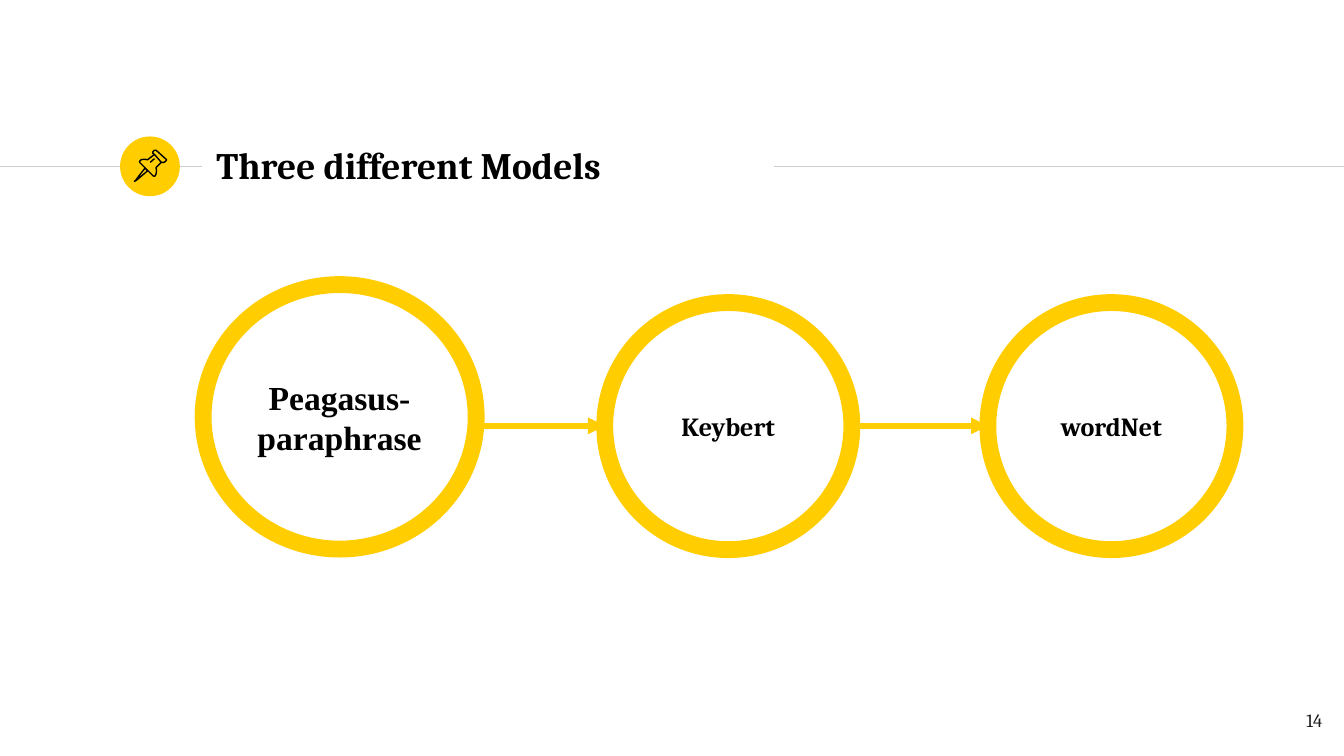
from itertools import pairwise

from pptx import Presentation
from pptx.dml.color import RGBColor
from pptx.enum.shapes import MSO_CONNECTOR, MSO_SHAPE
from pptx.enum.text import MSO_ANCHOR, PP_ALIGN
from pptx.oxml.ns import qn
from pptx.util import Cm, Pt
from lxml.etree import SubElement

YELLOW, BLACK, GREY, DARK = "FFCD00", "000000", "CCCCCC", "1D1D1B"
TITLE = "Three different Models"
PAGE_NUMBER = "14"
RULE_Y = 3.15
RULES = [(0, 3.81), (14.63, 25.4)]
ARROW_Y = 8.05
MODELS = [
    (["Peagasus-", "paraphrase"], "Times New Roman", 18, (3.84, 5.38, 5.16, 5)),
    (["Keybert"], "Cambria", 14, (11.43, 5.72, 4.67, 4.67)),
    (["wordNet"], "Cambria", 14, (18.67, 5.72, 4.67, 4.67)),
]
PIN_UNIT = Cm(0.01)
PIN_PARTS = [
    ([(274, 318), (257, 340), (254, 343), (259, 340), (279, 323)], True),
    ([(292, 292), (305, 307), (310, 307), (313, 305), (315, 302),
      (295, 284), (292, 284), (289, 287), (289, 290)], True),
    ([(292, 292), (279, 302), (272, 301), (267, 302), (264, 305), (264, 307),
      (290, 333), (293, 333), (295, 329), (296, 323), (295, 317), (305, 307)], False),
    ([(284, 307), (292, 300)], False),
]


def color(value):
    return RGBColor.from_string(value)


def set_line(shape, value, width):
    shape.line.color.rgb = color(value)
    shape.line.width = Pt(width)


def add_line(page, start, end, y, value, width, arrow=False):
    line = page.shapes.add_connector(
        MSO_CONNECTOR.STRAIGHT, Cm(start), Cm(y), Cm(end), Cm(y))
    set_line(line, value, width)
    properties = line._element.spPr
    if arrow:
        SubElement(properties.find(qn("a:ln")), qn("a:tailEnd"), type="triangle")
    SubElement(properties, qn("a:effectLst"))


def add_circle(page, place):
    circle = page.shapes.add_shape(MSO_SHAPE.OVAL, *map(Cm, place))
    circle.shadow.inherit = False
    return circle


def write(shape, lines, font, size, value, bold, align, anchor):
    frame = shape.text_frame
    frame.word_wrap = True
    frame.vertical_anchor = anchor
    frame.margin_left = frame.margin_right = Cm(0.25)
    frame.margin_top = frame.margin_bottom = Cm(0.25)
    frame.text = "\n".join(lines)
    for paragraph in frame.paragraphs:
        paragraph.alignment = align
        paragraph.font.name = font
        paragraph.font.size = Pt(size)
        paragraph.font.bold = bold
        paragraph.font.color.rgb = color(value)


def add_pin(page):
    for points, closed in PIN_PARTS:
        builder = page.shapes.build_freeform(*points[0], scale=PIN_UNIT)
        builder.add_line_segments(points[1:], close=closed)
        part = builder.convert_to_shape()
        part.shadow.inherit = False
        part.fill.background()
        set_line(part, BLACK, 0.75)


def main():
    deck = Presentation()
    deck.slide_width, deck.slide_height = Cm(25.4), Cm(14.29)
    page = deck.slides.add_slide(deck.slide_layouts[6])

    for start, end in RULES:
        add_line(page, start, end, RULE_Y, GREY, 0.75)
    badge = add_circle(page, (2.27, 2.58, 1.13, 1.13))
    badge.fill.solid()
    badge.fill.fore_color.rgb = color(YELLOW)
    badge.line.fill.background()
    add_pin(page)

    title = page.shapes.add_textbox(Cm(3.84), Cm(2.5), Cm(10.78), Cm(1.22))
    write(title, [TITLE], "Cambria", 20, BLACK, True, PP_ALIGN.LEFT, MSO_ANCHOR.MIDDLE)

    for lines, font, size, place in MODELS:
        circle = add_circle(page, place)
        circle.fill.background()
        set_line(circle, YELLOW, 9)
        write(circle, lines, font, size, BLACK, True, PP_ALIGN.CENTER, MSO_ANCHOR.MIDDLE)

    places = [model[-1] for model in MODELS]
    for (left, _, width, _), (target, *_) in pairwise(places):
        add_line(page, left + width, target, ARROW_Y, YELLOW, 3, arrow=True)

    number = page.shapes.add_textbox(Cm(23.72), Cm(13.18), Cm(1.52), Cm(1.1))
    write(number, [PAGE_NUMBER], "Cambria", 10, DARK, False, PP_ALIGN.RIGHT, MSO_ANCHOR.TOP)

    deck.save("out.pptx")


if __name__ == "__main__":
    main()
